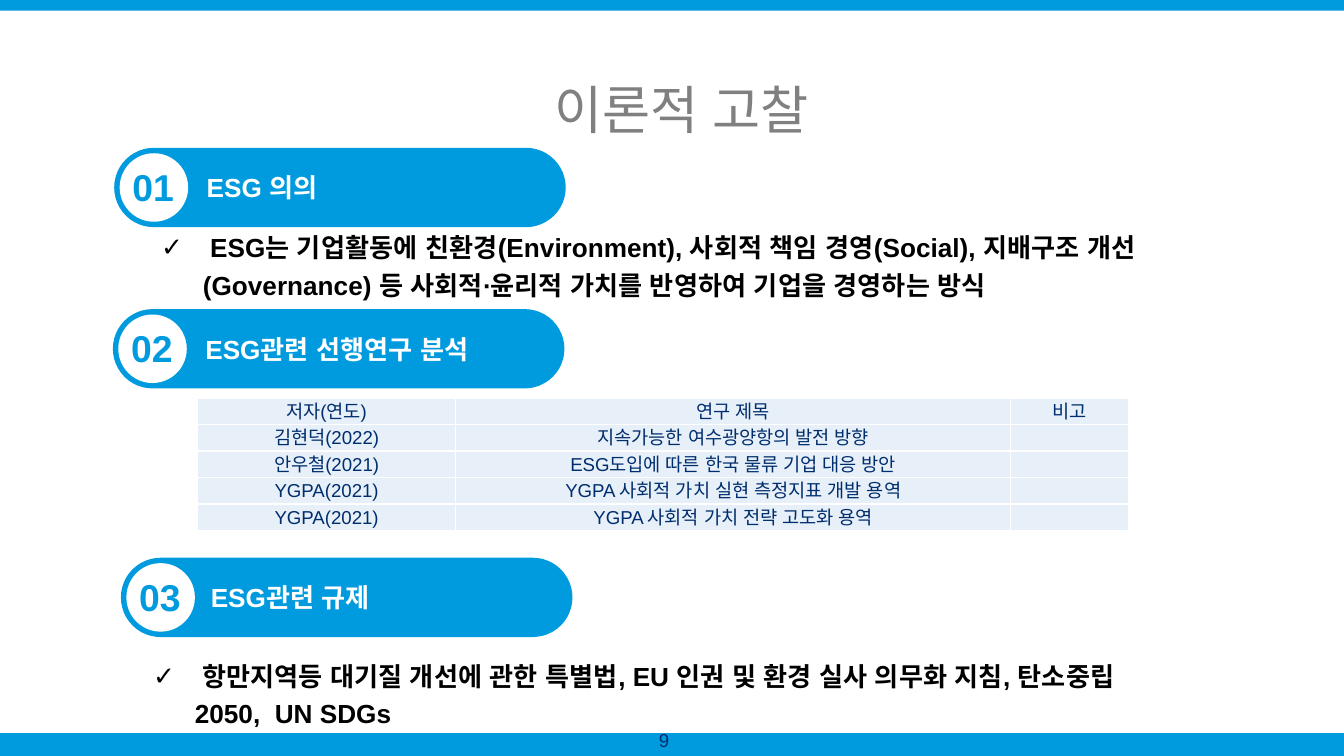
from dataclasses import dataclass

from lxml import etree
from pptx import Presentation
from pptx import util as u
from pptx.dml.color import RGBColor
from pptx.enum import shapes, text
from pptx.oxml import ns


@dataclass(frozen=True)
class Theme:
    """Colours, font and type sizes of the slide."""
    blue: str = "009BDE"
    navy: str = "002E6D"
    pale: str = "E7EFF9"
    grey: str = "808080"
    white: str = "FFFFFF"
    black: str = "000000"
    font: str = "Arial"
    title: int = 28
    number: int = 20
    body: int = 14
    small: int = 10


T = Theme()
LEFT, CENTER = text.PP_ALIGN.LEFT, text.PP_ALIGN.CENTER
TOP, MIDDLE = text.MSO_ANCHOR.TOP, text.MSO_ANCHOR.MIDDLE


def inches(*values):
    """Turn numbers into lengths in inches."""
    return [u.Inches(v) for v in values]


def child(parent, tag, **attrs):
    """Add a DrawingML element with attributes."""
    return etree.SubElement(parent, ns.qn(tag), attrs)


def write(tf, words, size=T.body, color=T.black, bold=False, align=LEFT,
          spacing=None, bullet=None, indent=0.31):
    """Write one formatted paragraph into a text frame."""
    p = tf.paragraphs[0]
    p.alignment = align
    if spacing:
        p.line_spacing = u.Pt(spacing)
    if bullet:
        pPr = p._p.get_or_add_pPr()
        pPr.set("marL", str(u.Inches(indent)))
        pPr.set("indent", str(-u.Inches(indent)))
        child(pPr, "a:buFont", typeface=T.font)
        child(pPr, "a:buChar", char=bullet)
    if not words:
        child(p._p, "a:endParaRPr", sz=str(size * 100))
        return
    r = p.add_run()
    r.text = words
    r.font.name, r.font.size, r.font.bold = T.font, u.Pt(size), bold
    r.font.color.rgb = RGBColor.from_string(color)
    child(r._r.get_or_add_rPr(), "a:ea", typeface=T.font)


def add_text(s, box, words, anchor=TOP, margins=(0, 0), **fmt):
    """Place a wrapping text box with side and top margins."""
    tf = s.shapes.add_textbox(*inches(*box)).text_frame
    tf.word_wrap, tf.vertical_anchor = True, anchor
    tf.margin_left = tf.margin_right = u.Inches(margins[0])
    tf.margin_top = tf.margin_bottom = u.Inches(margins[1])
    write(tf, words, **fmt)


def add_block(s, kind, box, color):
    """Place a plain filled shape."""
    sp = s.shapes.add_shape(kind, *inches(*box))
    sp.shadow.inherit = False
    sp.fill.solid()
    sp.fill.fore_color.rgb = RGBColor.from_string(color)
    sp.line.fill.background()
    return sp


def add_frame(s, width, height):
    """Draw the top and bottom bands, title and page number."""
    rect = shapes.MSO_SHAPE.RECTANGLE
    add_block(s, rect, (0, 0, width, 0.08), T.blue)
    add_block(s, rect, (0, height - 0.17, width, 0.17), T.blue)
    add_text(s, (0.07, 0.54, width, 0.54), "이론적 고찰", anchor=MIDDLE,
             size=T.title, color=T.grey, align=CENTER)
    add_text(s, (4.69, 5.36, 0.5, 0.3), "9", anchor=MIDDLE,
             size=T.small, color=T.navy, align=CENTER)


def add_heading(s, box, number, label, label_x):
    """Draw a numbered pill heading in its box."""
    x, y, w, h = box
    pill = add_block(s, shapes.MSO_SHAPE.ROUNDED_RECTANGLE, box, T.blue)
    pill.adjustments[0] = 0.5
    disc = 0.51
    gap = (h - disc) / 2
    add_block(s, shapes.MSO_SHAPE.OVAL, (x + gap, y + gap, disc, disc), T.white)
    add_text(s, (x, y + 0.07, 0.58, 0.44), number, margins=(0.1, 0.05),
             size=T.number, color=T.blue, bold=True, align=CENTER)
    add_text(s, (x + label_x, y + 0.13, w - label_x, 0.34), label,
             margins=(0.1, 0.05), color=T.white, bold=True)


def add_point(s, box, words):
    """Place a checked bullet paragraph in its box."""
    add_text(s, box, words, bold=True, spacing=20, bullet="✓")


def style_cell(cell):
    """Give a cell its white borders, pale fill and margins."""
    tcPr = cell._tc.get_or_add_tcPr()
    for side in ("a:lnL", "a:lnR", "a:lnT", "a:lnB"):
        ln = child(tcPr, side, w=str(u.Pt(1)))
        child(child(ln, "a:solidFill"), "a:srgbClr", val=T.white)
    cell.fill.solid()
    cell.fill.fore_color.rgb = RGBColor.from_string(T.pale)
    cell.vertical_anchor = MIDDLE
    cell.margin_left = cell.margin_right = cell.margin_top = u.Inches(0.01)
    cell.margin_bottom = 0


def add_studies(s, box, rows, widths):
    """Draw the table of earlier studies in its box."""
    table = s.shapes.add_table(len(rows), len(widths), *inches(*box)).table
    table.first_row = table.horz_banding = False
    for column, width in zip(table.columns, widths):
        column.width = u.Inches(width)
    for i, row in enumerate(rows):
        table.rows[i].height = u.Inches(box[3] / len(rows))
        for j, words in enumerate(row):
            cell = table.cell(i, j)
            style_cell(cell)
            write(cell.text_frame, words, size=T.small, color=T.navy, align=CENTER)


def main():
    """Build and save the slide."""
    prs = Presentation()
    width = 10
    height = width * 9 / 16
    prs.slide_width, prs.slide_height = inches(width, height)
    s = prs.slides.add_slide(prs.slide_layouts[6])
    add_frame(s, width, height)

    headings = [(0.85, 1.1, "ESG 의의", 0.59),
                (0.84, 2.3, "ESG관련 선행연구 분석", 0.59),
                (0.9, 4.15, "ESG관련 규제", 0.57)]
    for n, (x, y, label, label_x) in enumerate(headings, 1):
        add_heading(s, (x, y, 3.36, 0.59), f"{n:02}", label, label_x)

    add_point(s, (1.2, 1.68, 7.37, 0.88),
              " ESG는 기업활동에 친환경(Environment), 사회적 책임 경영(Social), "
              "지배구조 개선(Governance) 등 사회적∙윤리적 가치를 반영하여 "
              "기업을 경영하는 방식")
    add_point(s, (1.14, 4.87, 7.37, 0.59),
              " 항만지역등 대기질 개선에 관한 특별법, EU 인권 및 환경 실사 "
              "의무화 지침, 탄소중립 2050,  UN SDGs")

    studies = [("저자(연도)", "연구 제목", "비고"),
               ("김현덕(2022)", "지속가능한 여수광양항의 발전 방향", ""),
               ("안우철(2021)", "ESG도입에 따른 한국 물류 기업 대응 방안", ""),
               ("YGPA(2021)", "YGPA 사회적 가치 실현 측정지표 개발 용역", ""),
               ("YGPA(2021)", "YGPA 사회적 가치 전략 고도화 용역", "")]
    add_studies(s, (1.47, 2.96, 6.93, 0.99), studies, (1.92, 4.13, 0.88))
    prs.save("out.pptx")


if __name__ == "__main__":
    main()
